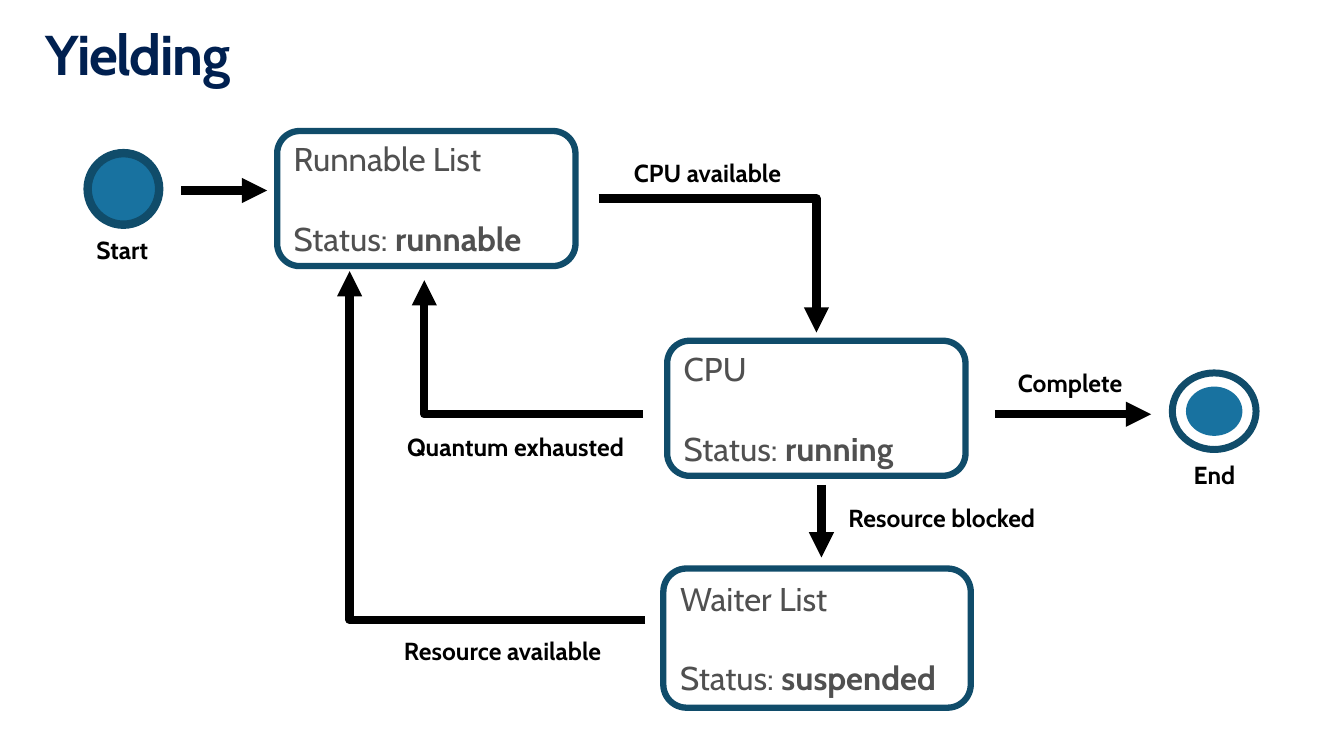
from lxml import etree
from pptx import Presentation
from pptx.dml.color import RGBColor
from pptx.enum import shapes, text
from pptx.oxml.ns import qn
from pptx.util import Pt

FONT = "Cabin"
NAVY = RGBColor(0x00, 0x20, 0x50)
BLUE = RGBColor(0x18, 0x72, 0xA0)
DARK_BLUE = RGBColor(0x10, 0x4C, 0x6A)
GREY = RGBColor(0x50, 0x50, 0x50)
BLACK = RGBColor(0x00, 0x00, 0x00)
WHITE = RGBColor(0xFF, 0xFF, 0xFF)

STATES = [
    ("Runnable List", "runnable", (198, 93.6, 213.1, 96.5)),
    ("CPU", "running", (476.6, 243.4, 213.1, 96.5)),
    ("Waiter List", "suspended", (473.8, 406.1, 219.6, 99.4)),
]
ARROWS = [
    ((129.6, 136.1), (190.8, 136.1)),
    ((710.6, 295.9), (822.2, 295.9)),
    ((586.8, 346.3), (586.8, 398.2)),
    ((460.8, 442.8), (249.8, 193.7)),
    ((427.7, 141.8), (583.2, 237.6)),
    ((459.4, 295.9), (303.1, 200.2)),
]
LABELS = [
    ("CPU available", 445.7, 109.4, 128.2),
    ("Quantum exhausted", 283.7, 304.6, 183.6),
    ("Resource available", 281.5, 450.7, 168.5),
    ("Resource blocked", 599, 355.7, 160.6),
    ("Complete", 720, 259.2, 95),
]


def set_font(p, size, color, bold=None):
    p.font.name, p.font.size, p.font.bold = FONT, Pt(size), bold
    p.font.color.rgb = color


def add_title(slide, box, wording):
    tf = slide.shapes.add_textbox(*map(Pt, box)).text_frame
    tf.word_wrap = True
    tf.margin_left = tf.margin_right = Pt(11.5)
    tf.margin_top = tf.margin_bottom = Pt(7.2)
    p = tf.paragraphs[0]
    p.line_spacing = 0.9
    set_font(p, 40, NAVY, True)
    r = p.add_run()
    r.text = wording
    r._r.get_or_add_rPr().set("spc", "-100")


def add_label(slide, wording, left, top, width):
    tf = slide.shapes.add_textbox(Pt(left), Pt(top), Pt(width), Pt(28.8)).text_frame
    tf.word_wrap = False
    tf.auto_size = text.MSO_AUTO_SIZE.SHAPE_TO_FIT_TEXT
    p = tf.paragraphs[0]
    p.text = wording
    set_font(p, 17.6, BLACK, True)


def add_shape(slide, kind, box, fill=None, line_width=0):
    """Add a shape; no fill or no line where none is given."""
    sp = slide.shapes.add_shape(kind, *map(Pt, box))
    sp.shadow.inherit = False
    if fill is None:
        sp.fill.background()
    else:
        sp.fill.solid()
        sp.fill.fore_color.rgb = fill
    if line_width:
        sp.line.color.rgb = DARK_BLUE
        sp.line.width = Pt(line_width)
    else:
        sp.line.fill.background()
    return sp


def add_node_label(slide, box, wording, width):
    left, top, w, h = box
    add_label(slide, wording, left + (w - width) / 2 + 1, top + h + 4, width)


def add_start(slide, box):
    add_shape(slide, shapes.MSO_SHAPE.OVAL, box, BLUE, 6)
    add_node_label(slide, box, "Start", 54.7)


def add_end(slide, box):
    left, top, w, h = box
    gap = 9.75
    core = (left + gap, top + gap, w - 2 * gap, h - 2 * gap)
    add_shape(slide, shapes.MSO_SHAPE.OVAL, core, BLUE)
    add_shape(slide, shapes.MSO_SHAPE.OVAL, box, line_width=5)
    add_node_label(slide, box, "End", 45.4)


def add_state(slide, box, name, status):
    sp = add_shape(slide, shapes.MSO_SHAPE.ROUNDED_RECTANGLE, box, WHITE, 4.5)
    tf = sp.text_frame
    tf.word_wrap = True
    tf.vertical_anchor = text.MSO_ANCHOR.MIDDLE
    heading, detail = tf.paragraphs[0], tf.add_paragraph()
    heading.text = name
    detail.space_before = Pt(28.5)
    detail.add_run().text = "Status: "
    r = detail.add_run()
    r.text = status
    r.font.bold = True
    for p in (heading, detail):
        p.alignment = text.PP_ALIGN.LEFT
        set_font(p, 23.5, GREY)


def add_arrow(slide, start, end):
    """Straight arrow, or one with a single corner when both axes change."""
    bent = start[0] != end[0] and start[1] != end[1]
    kind = shapes.MSO_CONNECTOR.ELBOW if bent else shapes.MSO_CONNECTOR.STRAIGHT
    cn = slide.shapes.add_connector(kind, *map(Pt, start + end))
    cn.line.color.rgb = BLACK
    cn.line.width = Pt(6)
    sp_pr = cn._element.spPr
    if bent:
        sp_pr.find(qn("a:prstGeom")).set("prst", "bentConnector2")
    etree.SubElement(sp_pr.find(qn("a:ln")), qn("a:tailEnd"), type="triangle")
    etree.SubElement(sp_pr, qn("a:effectLst"))


def add_yielding_slide(prs):
    slide = prs.slides.add_slide(prs.slide_layouts[6])
    add_title(slide, (20.9, 12.2, 918, 82.8), "Yielding")
    add_start(slide, (62.6, 109.4, 51.1, 51.1))
    add_end(slide, (837.4, 266.4, 59.8, 54.7))
    for start, end in ARROWS:
        add_arrow(slide, start, end)
    for label in LABELS:
        add_label(slide, *label)
    for name, status, box in STATES:
        add_state(slide, box, name, status)


def main():
    prs = Presentation()
    prs.slide_width, prs.slide_height = Pt(960), Pt(540)
    add_yielding_slide(prs)
    prs.save("out.pptx")


if __name__ == "__main__":
    main()
